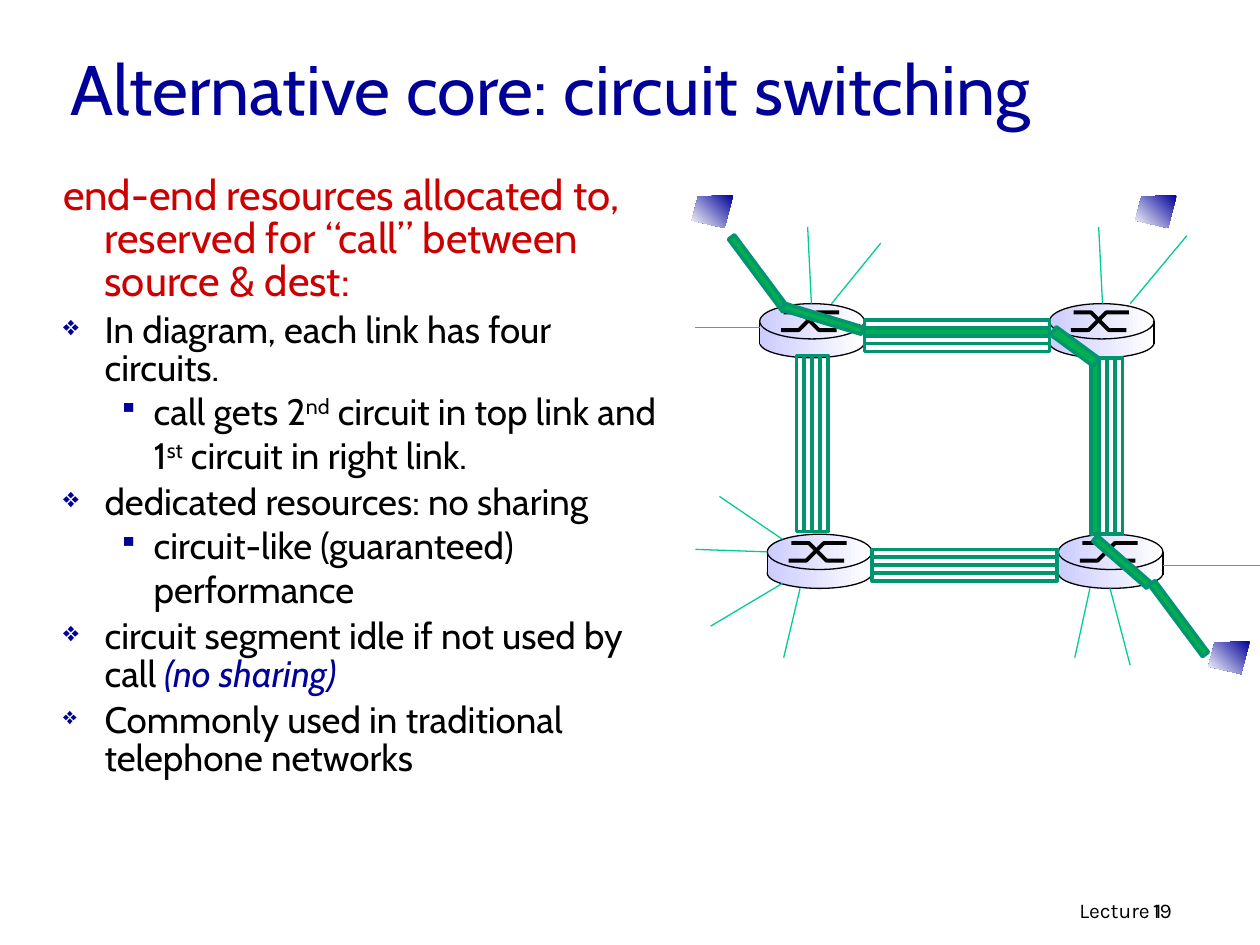
from dataclasses import dataclass

import pptx
import pptx.dml.color
import pptx.enum.shapes
import pptx.enum.text
import pptx.util
from lxml import etree
from pptx.oxml.ns import qn
from pptx.util import Inches

SHAPE = pptx.enum.shapes.MSO_SHAPE


@dataclass(frozen=True)
class Theme:
    font: str = "Cabin"
    footer_font: str = "Karla"
    title_size: int = 40
    lead_size: int = 24
    body_size: int = 21
    footer_size: int = 12
    navy: str = "000099"
    red: str = "CC0000"
    black: str = "000000"
    white: str = "FFFFFF"
    router: str = "CCCCFF"
    circuit: str = "00956F"
    call: str = "00B050"
    access: str = "00CC98"
    thin: float = 0.75
    medium: float = 2
    thick: float = 2.25


THEME = Theme()


def rgb(value):
    return pptx.dml.color.RGBColor.from_string(value)


def style_shape(shape, fill=None, line=None, weight=THEME.thin, angle=0):
    """Fill is None, one colour, or a pair of gradient colours."""
    shape.shadow.inherit = False
    if fill is None:
        shape.fill.background()
    elif isinstance(fill, tuple):
        shape.fill.gradient()
        shape.fill.gradient_angle = angle
        for stop, color in zip(shape.fill.gradient_stops, fill):
            stop.color.rgb = rgb(color)
    else:
        shape.fill.solid()
        shape.fill.fore_color.rgb = rgb(fill)
    if line is None:
        shape.line.fill.background()
    else:
        shape.line.color.rgb = rgb(line)
        shape.line.width = pptx.util.Pt(weight)


def add_preset(slide, kind, box, **style):
    shape = slide.shapes.add_shape(kind, *box)
    style_shape(shape, **style)
    return shape


def add_outline(slide, left, top, points, close, **style):
    corners = [(left + Inches(x), top + Inches(y)) for x, y in points]
    builder = slide.shapes.build_freeform(*corners[0])
    builder.add_line_segments(corners[1:], close=close)
    style_shape(builder.convert_to_shape(), **style)


def add_line(slide, left, top, ends, color):
    x1, y1, x2, y2 = (Inches(value) for value in ends)
    line = slide.shapes.add_connector(
        pptx.enum.shapes.MSO_CONNECTOR.STRAIGHT,
        left + x1, top + y1, left + x2, top + y2)
    line.line.color.rgb = rgb(color)
    line.line.width = pptx.util.Pt(THEME.thin)
    etree.SubElement(line._element.spPr, qn("a:effectLst"))


def add_text_frame(slide, left, top, width, height, wrap=True):
    frame = slide.shapes.add_textbox(left, top, width, height).text_frame
    frame.word_wrap = wrap
    frame.margin_left = frame.margin_right = Inches(0.05)
    frame.margin_top = frame.margin_bottom = Inches(0.05)
    return frame


def set_font(paragraph, name, size, color):
    paragraph.font.name = name
    paragraph.font.size = pptx.util.Pt(size)
    paragraph.font.color.rgb = rgb(color)


def add_title(slide, left, top, width, height):
    frame = add_text_frame(slide, left, top, width, height)
    frame.vertical_anchor = pptx.enum.text.MSO_ANCHOR.MIDDLE
    paragraph = frame.paragraphs[0]
    paragraph.text = "Alternative core: circuit switching"
    set_font(paragraph, THEME.font, THEME.title_size, THEME.navy)


def set_bullet(paragraph, symbol, percent):
    properties = paragraph._p.get_or_add_pPr()
    color = etree.SubElement(properties, qn("a:buClr"))
    etree.SubElement(color, qn("a:srgbClr"), val=THEME.navy)
    etree.SubElement(properties, qn("a:buSzPct"), val=str(percent * 1000))
    etree.SubElement(properties, qn("a:buChar"), char=symbol)


def add_body(slide, left, top, width, height):
    frame = add_text_frame(slide, left, top, width, height)
    # Each item: level, bullet size in percent, runs of (text, style)
    items = [
        (0, None, [("end-end resources allocated to, reserved for “call” "
                    "between source & dest:", "")]),
        (0, 75, [("In diagram, each link has four circuits.", "")]),
        (1, 75, [("call gets 2", ""), ("nd", "super"),
                 (" circuit in top link and 1", ""), ("st", "super"),
                 (" circuit in right link.", "")]),
        (0, 75, [("dedicated resources: no sharing", "")]),
        (1, 75, [("circuit-like (guaranteed) performance", "")]),
        (0, 75, [("circuit segment idle if not used by call ", ""),
                 ("(no sharing)", "accent")]),
        (0, 65, [("Commonly used in traditional telephone networks", "")])]
    for index, (level, bullet_size, runs) in enumerate(items):
        paragraph = frame.add_paragraph() if index else frame.paragraphs[0]
        paragraph.level = level
        margin, hanging = (0.72, 0.28) if level else (0.33, 0.33)
        properties = paragraph._p.get_or_add_pPr()
        properties.set("marL", str(Inches(margin)))
        properties.set("indent", str(-Inches(hanging)))
        if level == 0:
            paragraph.line_spacing = 0.85
            paragraph.space_before = pptx.util.Pt(5 if index else 0)
        if bullet_size:
            set_bullet(paragraph, "▪" if level else "❖", bullet_size)
            set_font(paragraph, THEME.font, THEME.body_size, THEME.black)
        else:
            set_font(paragraph, THEME.font, THEME.lead_size, THEME.red)
        for text, style in runs:
            run = paragraph.add_run()
            run.text = text
            if style == "super":
                run._r.get_or_add_rPr().set("baseline", "30000")
            elif style == "accent":
                run.font.italic = True
                run.font.color.rgb = rgb(THEME.navy)


def add_footer(slide, left, top, width, height):
    label = add_text_frame(slide, left, top, width - Inches(0.13), height)
    number = add_text_frame(slide, left + width - Inches(0.3), top,
                            Inches(0.3), height, wrap=False)
    for frame, text in ((label, "Lecture 1"), (number, "19")):
        frame.text = text
        set_font(frame.paragraphs[0], THEME.footer_font, THEME.footer_size, THEME.black)
    label.paragraphs[0].alignment = pptx.enum.text.PP_ALIGN.RIGHT


def add_router(slide, left, top):
    for kind, offset, height, line in ((SHAPE.OVAL, 0.19, 0.24, THEME.black),
                                       (SHAPE.RECTANGLE, 0.17, 0.15, None),
                                       (SHAPE.OVAL, 0, 0.28, THEME.black)):
        box = (left, top + Inches(offset), Inches(0.83), Inches(height))
        add_preset(slide, kind, box, fill=(THEME.router, THEME.white), line=line)
    for points in ([(0.17, 0.21), (0.31, 0.21), (0.45, 0.07), (0.63, 0.07)],
                   [(0.19, 0.07), (0.33, 0.07), (0.47, 0.21), (0.61, 0.21)]):
        add_outline(slide, left, top, points, False, line=THEME.black, weight=THEME.thick)
    for x in (0, 0.83):
        add_line(slide, left, top, (x, 0.14, x, 0.32), THEME.black)


def add_host(slide, left, top):
    add_outline(slide, left, top, [(0.33, 0), (0.05, 0.01), (0, 0.2), (0.26, 0.26)],
                True, fill=(THEME.navy, THEME.white), angle=225)


def add_link(slide, left, top, width, height, call_lane):
    """Split the box lengthwise into four circuits, one perhaps in use."""
    lane = min(width, height) // 4
    for index in range(4):
        if width > height:
            box = (left, top + index * lane, width, lane)
        else:
            box = (left + index * lane, top, lane, height)
        add_preset(slide, SHAPE.RECTANGLE, box, line=THEME.circuit, weight=THEME.medium,
                   fill=THEME.call if index == call_lane else None)


def add_network(slide, left, top):
    for x, y in ((0.63, 0.91), (2.93, 0.91), (0.69, 2.74), (3, 2.74)):
        add_router(slide, left + Inches(x), top + Inches(y))
    for x, y in ((0.09, 0.05), (3.61, 0.05), (4.19, 3.59)):
        add_host(slide, left + Inches(x), top + Inches(y))
    for x, y, width, height, call_lane in (
            (1.46, 1.04, 1.47, 0.25, 1), (1.52, 2.86, 1.47, 0.25, None),
            (0.92, 1.32, 0.25, 1.4, None), (3.26, 1.34, 0.25, 1.4, 0)):
        add_link(slide, left + Inches(x), top + Inches(y),
                 Inches(width), Inches(height), call_lane)
    for ends in (
            (1.01, 0.3, 1.04, 0.91), (1.59, 0.43, 1.2, 0.91), (0.12, 1.1, 0.63, 1.1),
            (0.12, 2.86, 0.69, 2.88), (0.31, 2.44, 0.81, 2.78), (0.24, 3.47, 0.81, 3.13),
            (0.82, 3.72, 0.95, 3.17), (4.6, 2.99, 3.83, 2.99), (3.57, 3.78, 3.41, 3.17),
            (3.13, 3.72, 3.25, 3.17), (3.32, 0.3, 3.35, 0.91), (4.02, 0.37, 3.57, 0.91)):
        add_line(slide, left, top, ends, THEME.access)
    for x, y, width, height, rotation in (
            (0.26, 0.64, 0.72, 0.06, 53.3), (3.6, 3.38, 0.71, 0.06, 53.3),
            (0.8, 1, 0.66, 0.06, 16.9), (3.22, 2.93, 0.57, 0.06, 41.1),
            (2.92, 1.21, 0.42, 0.08, 36.3)):
        box = (left + Inches(x), top + Inches(y), Inches(width), Inches(height))
        segment = add_preset(slide, SHAPE.RECTANGLE, box, fill=THEME.call,
                             line=THEME.circuit, weight=THEME.medium)
        segment.rotation = rotation


presentation = pptx.Presentation()
presentation.slide_width, presentation.slide_height = Inches(10), Inches(7.5)
slide = presentation.slides.add_slide(presentation.slide_layouts[6])
add_title(slide, Inches(0.51), Inches(0.3), Inches(8.5), Inches(0.79))
add_body(slide, Inches(0.45), Inches(1.35), Inches(4.88), Inches(5.08))
add_network(slide, Inches(5.4), Inches(1.5))
add_footer(slide, Inches(6.1), Inches(7.07), Inches(3.3), Inches(0.29))
presentation.save("out.pptx")
